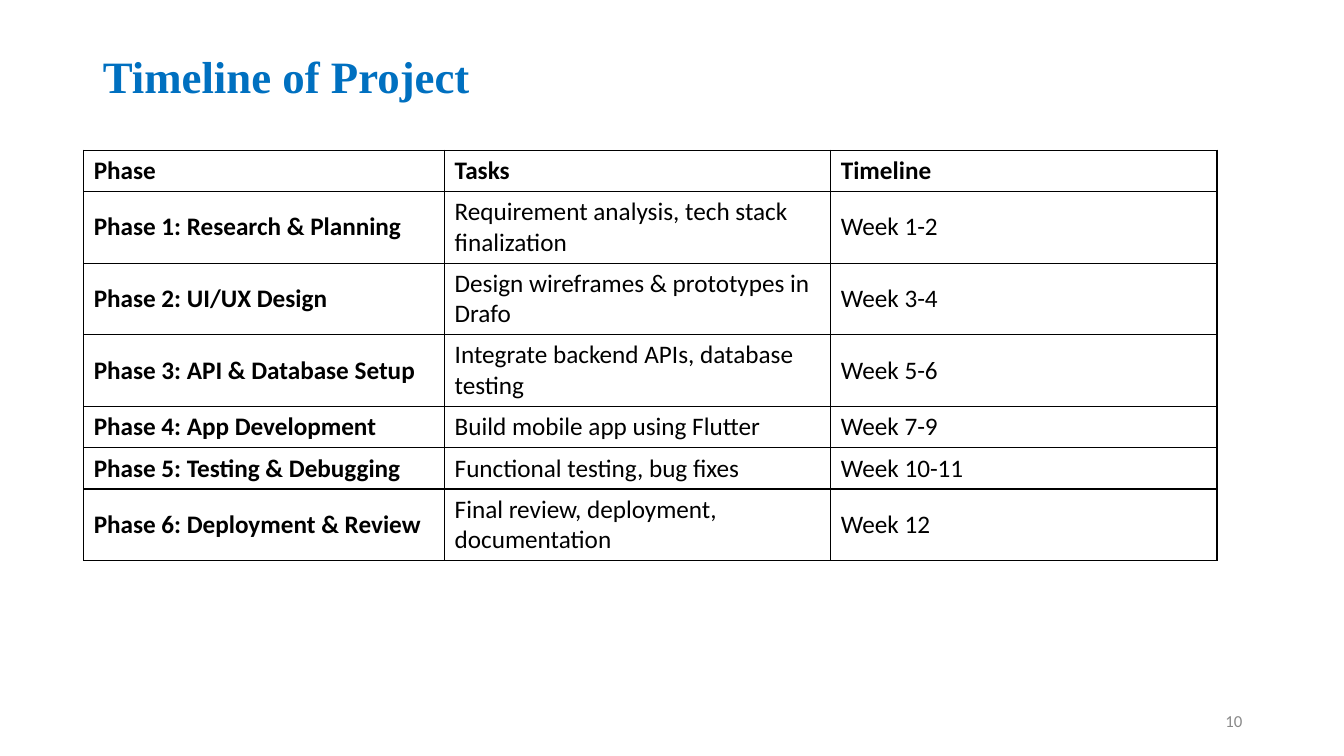
from dataclasses import dataclass

from lxml.etree import SubElement
from pptx import Presentation
from pptx.dml.color import RGBColor
from pptx.enum.text import MSO_ANCHOR, PP_ALIGN
from pptx.oxml.ns import qn
from pptx.slide import Slide
from pptx.table import _Cell
from pptx.text.text import _Paragraph
from pptx.util import Inches, Pt


@dataclass(frozen=True)
class TextStyle:
    font: str
    size: int
    color: str
    bold: bool = False


@dataclass(frozen=True)
class Theme:
    title: TextStyle = TextStyle("Times New Roman", 32, "0070C0", True)
    strong: TextStyle = TextStyle("Calibri", 18, "000000", True)
    body: TextStyle = TextStyle("Calibri", 18, "000000")
    page_number: TextStyle = TextStyle("Calibri", 12, "898989")
    border_color: str = "000000"
    border_width: int = 1


@dataclass(frozen=True)
class Phase:
    name: str
    tasks: str
    timeline: str
    lines: int = 1


THEME = Theme()
COLUMN_WIDTHS = (3.58, 3.83, 3.83)
LINE_HEIGHT = 0.3
ROW_PADDING = 0.11
HEADER = Phase("Phase", "Tasks", "Timeline")
PHASES = (
    Phase("Phase 1: Research & Planning", "Requirement analysis, tech stack finalization", "Week 1-2", 2),
    Phase("Phase 2: UI/UX Design", "Design wireframes & prototypes in Drafo", "Week 3-4", 2),
    Phase("Phase 3: API & Database Setup", "Integrate backend APIs, database testing", "Week 5-6", 2),
    Phase("Phase 4: App Development", "Build mobile app using Flutter", "Week 7-9"),
    Phase("Phase 5: Testing & Debugging", "Functional testing, bug fixes", "Week 10-11"),
    Phase("Phase 6: Deployment & Review", "Final review, deployment, documentation", "Week 12", 2),
)


def write(paragraph: _Paragraph, text: str, style: TextStyle) -> None:
    paragraph.text = text
    for run in paragraph.runs:
        run.font.name = style.font
        run.font.size = Pt(style.size)
        run.font.bold = style.bold
        run.font.color.rgb = RGBColor.from_string(style.color)


def add_title(slide: Slide, text: str) -> None:
    title = slide.shapes.title
    title.left, title.top = Inches(0.92), Inches(0.4)
    title.width, title.height = Inches(11.5), Inches(0.76)
    title.text_frame.vertical_anchor = MSO_ANCHOR.MIDDLE
    paragraph = title.text_frame.paragraphs[0]
    write(paragraph, text, THEME.title)
    paragraph.alignment = PP_ALIGN.LEFT
    paragraph.line_spacing = 0.9


def add_borders(cell: _Cell) -> None:
    properties = cell._tc.get_or_add_tcPr()
    for side in ("a:lnL", "a:lnR", "a:lnT", "a:lnB"):
        line = SubElement(properties, qn(side), w=str(Pt(THEME.border_width)))
        fill = SubElement(line, qn("a:solidFill"))
        SubElement(fill, qn("a:srgbClr"), val=THEME.border_color)


def add_timeline_table(slide: Slide) -> None:
    rows = (HEADER, *PHASES)
    heights = [ROW_PADDING + LINE_HEIGHT * row.lines for row in rows]
    table = slide.shapes.add_table(
        len(rows), len(COLUMN_WIDTHS), Inches(0.83), Inches(1.49),
        Inches(sum(COLUMN_WIDTHS)), Inches(sum(heights)),
    ).table
    table.first_row = False
    table.horz_banding = False
    for column, width in zip(table.columns, COLUMN_WIDTHS):
        column.width = Inches(width)
    for row_index, (row, height) in enumerate(zip(rows, heights)):
        table.rows[row_index].height = Inches(height)
        for column_index, text in enumerate((row.name, row.tasks, row.timeline)):
            cell = table.cell(row_index, column_index)
            is_heading = row is HEADER or column_index == 0
            write(cell.text_frame.paragraphs[0], text, THEME.strong if is_heading else THEME.body)
            cell.vertical_anchor = MSO_ANCHOR.MIDDLE
            add_borders(cell)
            cell.fill.background()


def add_page_number(slide: Slide, number: int) -> None:
    box = slide.shapes.add_textbox(Inches(9.42), Inches(6.95), Inches(3), Inches(0.4))
    box.text_frame.word_wrap = True
    box.text_frame.vertical_anchor = MSO_ANCHOR.MIDDLE
    paragraph = box.text_frame.paragraphs[0]
    write(paragraph, str(number), THEME.page_number)
    paragraph.alignment = PP_ALIGN.RIGHT


def main() -> None:
    presentation = Presentation()
    presentation.slide_width, presentation.slide_height = Inches(13.33), Inches(7.5)
    title_only = presentation.slide_layouts.get_by_name("Title Only")
    slide = presentation.slides.add_slide(title_only)
    add_title(slide, "Timeline of Project")
    add_timeline_table(slide)
    add_page_number(slide, 10)
    presentation.save("out.pptx")


if __name__ == "__main__":
    main()
